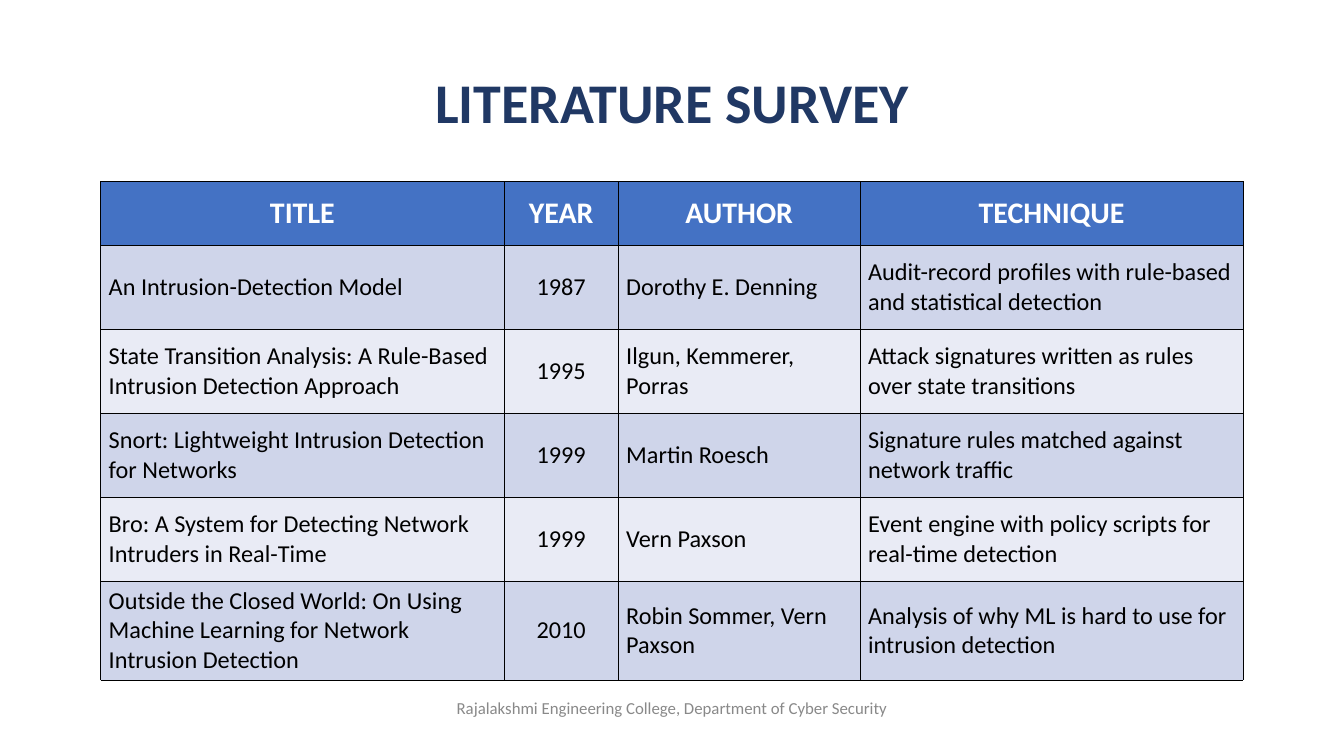
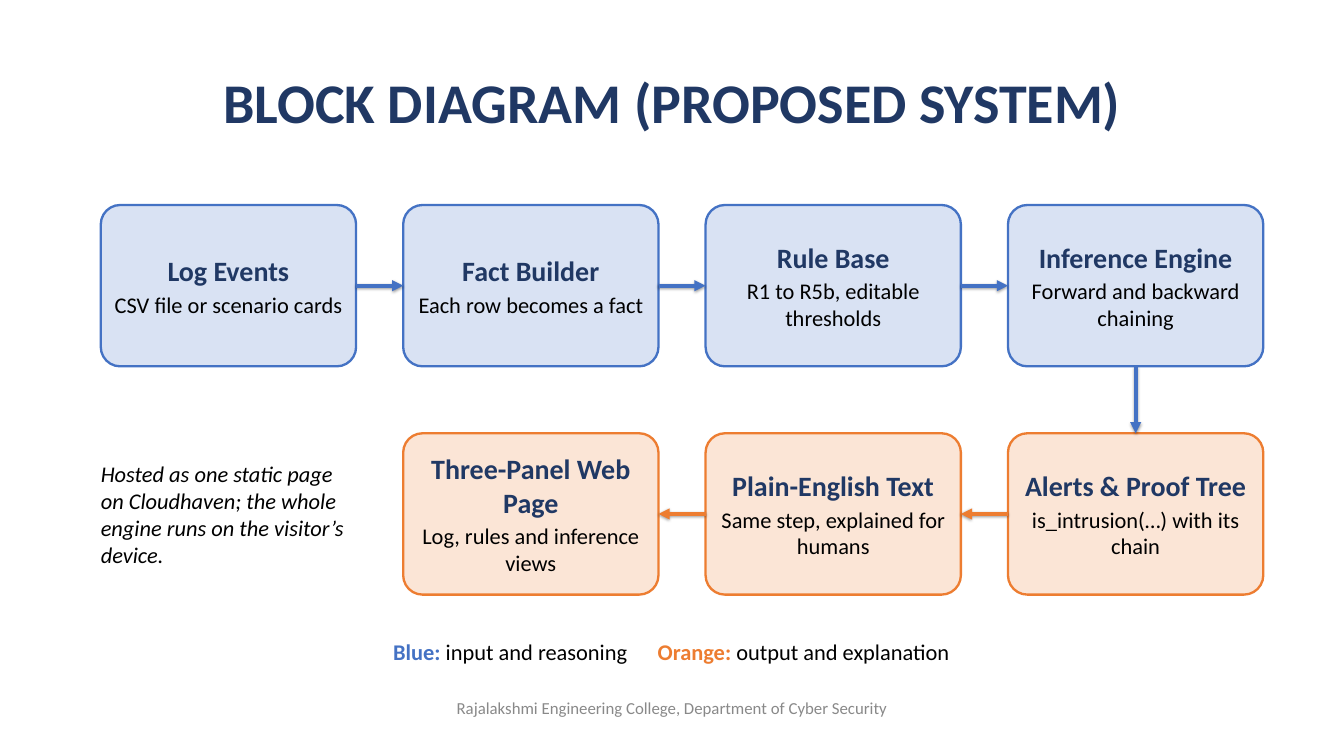
from lxml import etree
from pptx import Presentation
from pptx.dml.color import RGBColor
from pptx.enum import shapes, text
from pptx.oxml import ns
from pptx.util import Cm, Pt

NAVY = RGBColor(0x20, 0x38, 0x64)
BLUE = RGBColor(0x44, 0x72, 0xC4)
PALE_BLUE = RGBColor(0xD9, 0xE2, 0xF3)
ORANGE = RGBColor(0xED, 0x7D, 0x31)
PALE_ORANGE = RGBColor(0xFB, 0xE5, 0xD6)
BAND_DARK = RGBColor(0xCF, 0xD5, 0xEA)
BAND_LIGHT = RGBColor(0xE9, 0xEB, 0xF5)
GREY = RGBColor(0x89, 0x89, 0x89)
BLACK = RGBColor(0, 0, 0)
WHITE = RGBColor(0xFF, 0xFF, 0xFF)
FONT = "Calibri"
LEFT, CENTER = text.PP_ALIGN.LEFT, text.PP_ALIGN.CENTER

TITLE_BOX = (Cm(3.49), Cm(1.4), Cm(43.82), Cm(4.83))
FOOTER_BOX = (Cm(7.62), Cm(26.11), Cm(35.56), Cm(1.27))
TABLE_BOX = (Cm(3.81), Cm(6.86), Cm(43.18), Cm(18.29))
DIAGRAM_BOX = (Cm(3.81), Cm(7.75), Cm(43.94), Cm(14.73))
LEGEND_BOX = (Cm(3.81), Cm(23.88), Cm(43.18), Cm(1.52))

FOOTER = "Rajalakshmi Engineering College, Department of Cyber Security"
COLUMN_WIDTHS = (Cm(15.24), Cm(4.32), Cm(9.14), Cm(14.48))
YEAR_COLUMN = 1
HEADER_HEIGHT = Cm(2.41)
HEADINGS = ("TITLE", "YEAR", "AUTHOR", "TECHNIQUE")
PAPERS = (
    ("An Intrusion-Detection Model", "1987", "Dorothy E. Denning",
     "Audit-record profiles with rule-based and statistical detection"),
    ("State Transition Analysis: A Rule-Based Intrusion Detection Approach", "1995",
     "Ilgun, Kemmerer, Porras", "Attack signatures written as rules over state transitions"),
    ("Snort: Lightweight Intrusion Detection for Networks", "1999", "Martin Roesch",
     "Signature rules matched against network traffic"),
    ("Bro: A System for Detecting Network Intruders in Real-Time", "1999", "Vern Paxson",
     "Event engine with policy scripts for real-time detection"),
    ("Outside the Closed World: On Using Machine Learning for Network Intrusion Detection",
     "2010", "Robin Sommer, Vern Paxson",
     "Analysis of why ML is hard to use for intrusion detection"),
)

STAGE_WIDTH, STAGE_HEIGHT = Cm(9.65), Cm(6.1)
STAGE_COLUMNS = 4
REASONING_STAGES = (
    ("Log Events", "CSV file or scenario cards"),
    ("Fact Builder", "Each row becomes a fact"),
    ("Rule Base", "R1 to R5b, editable thresholds"),
    ("Inference Engine", "Forward and backward chaining"),
)
OUTPUT_STAGES = (
    ("Alerts & Proof Tree", "is_intrusion(…) with its chain"),
    ("Plain-English Text", "Same step, explained for humans"),
    ("Three-Panel Web Page", "Log, rules and inference views"),
)
HOSTING = ("Hosted as one static page on Cloudhaven; the whole engine runs "
           "on the visitor’s device.")
LEGEND = (("Blue:", " input and reasoning", BLUE),
          ("Orange:", " output and explanation", ORANGE))


def style(paragraph, size, color, bold=False, italic=False, align=CENTER):
    """Set the font and alignment of a paragraph."""
    paragraph.alignment = align
    font = paragraph.font
    font.name, font.size, font.bold, font.italic = FONT, Pt(size), bold, italic
    font.color.rgb = color


def frame_text(frame, across=0, down=0):
    """Wrap and centre text vertically, with the given insets."""
    frame.word_wrap = True
    frame.auto_size = text.MSO_AUTO_SIZE.NONE
    frame.vertical_anchor = text.MSO_ANCHOR.MIDDLE
    frame.margin_left = frame.margin_right = across
    frame.margin_top = frame.margin_bottom = down


def add_label(slide, box, wording, size, color, **options):
    """Add a text box holding one paragraph."""
    frame = slide.shapes.add_textbox(*box).text_frame
    frame_text(frame)
    frame.text = wording
    style(frame.paragraphs[0], size, color, **options)


def add_titled_slide(deck, heading):
    """Add a slide with the shared title and footer."""
    slide = deck.slides.add_slide(deck.slide_layouts[5])
    title = slide.shapes.title
    title.left, title.top, title.width, title.height = TITLE_BOX
    frame_text(title.text_frame)
    title.text_frame.text = heading
    style(title.text_frame.paragraphs[0], 60, NAVY, bold=True)
    add_label(slide, FOOTER_BOX, FOOTER, 18, GREY)
    return slide


def add_borders(cell):
    """Draw a thin black line on every side of a cell."""
    properties = cell._tc.get_or_add_tcPr()
    for side in ("a:lnL", "a:lnR", "a:lnT", "a:lnB"):
        line = etree.SubElement(properties, ns.qn(side), w=str(Pt(0.75)))
        fill = etree.SubElement(line, ns.qn("a:solidFill"))
        etree.SubElement(fill, ns.qn("a:srgbClr"), val=str(BLACK))


def fill_cell(cell, wording, color, *font, **options):
    """Write one bordered and filled cell."""
    add_borders(cell)
    cell.fill.solid()
    cell.fill.fore_color.rgb = color
    cell.vertical_anchor = text.MSO_ANCHOR.MIDDLE
    cell.margin_left = cell.margin_right = Cm(0.3)
    cell.margin_top = cell.margin_bottom = Cm(0.18)
    cell.text = wording
    style(cell.text_frame.paragraphs[0], *font, **options)


def add_survey_table(slide, box):
    """Add the table of surveyed papers."""
    table = slide.shapes.add_table(len(PAPERS) + 1, len(HEADINGS), *box).table
    for column, width in zip(table.columns, COLUMN_WIDTHS):
        column.width = width
    for row in table.rows:
        row.height = (box[3] - HEADER_HEIGHT) // len(PAPERS)
    table.rows[0].height = HEADER_HEIGHT
    for c, heading in enumerate(HEADINGS):
        fill_cell(table.cell(0, c), heading, BLUE, 32, WHITE, bold=True)
    for r, paper in enumerate(PAPERS, 1):
        band = BAND_DARK if r % 2 else BAND_LIGHT
        for c, wording in enumerate(paper):
            fill_cell(table.cell(r, c), wording, band, 26, BLACK,
                      align=CENTER if c == YEAR_COLUMN else LEFT)


def add_stage(slide, left, top, name, detail, fill, outline):
    """Add one rounded block with its name and detail."""
    stage = slide.shapes.add_shape(shapes.MSO_SHAPE.ROUNDED_RECTANGLE,
                                   left, top, STAGE_WIDTH, STAGE_HEIGHT)
    stage.adjustments[0] = 0.12
    stage.shadow.inherit = False
    stage.fill.solid()
    stage.fill.fore_color.rgb = fill
    stage.line.color.rgb = outline
    stage.line.width = Pt(2.5)
    frame = stage.text_frame
    frame_text(frame, Cm(0.3), Cm(0.13))
    frame.text = f"{name}\n{detail}"
    name_line, detail_line = frame.paragraphs
    name_line.space_after = Pt(4)
    style(name_line, 30, NAVY, bold=True)
    style(detail_line, 24, BLACK)
    return stage


def add_arrow(slide, source, source_side, target, target_side, color):
    """Join two stages with an arrow."""
    arrow = slide.shapes.add_connector(shapes.MSO_CONNECTOR.STRAIGHT, 0, 0, 0, 0)
    arrow.begin_connect(source, source_side)
    arrow.end_connect(target, target_side)
    arrow.line.color.rgb = color
    arrow.line.width = Pt(4)
    etree.SubElement(arrow.line._get_or_add_ln(), ns.qn("a:tailEnd"), type="triangle")


def add_block_diagram(slide, box):
    """Add both rows of stages, their arrows and the hosting remark."""
    left, top, width, height = box
    pitch = (width - STAGE_WIDTH) // (STAGE_COLUMNS - 1)
    lower = top + height - STAGE_HEIGHT
    reasoning = [add_stage(slide, left + i * pitch, top, *stage, PALE_BLUE, BLUE)
                 for i, stage in enumerate(REASONING_STAGES)]
    output = [add_stage(slide, left + (STAGE_COLUMNS - 1 - i) * pitch, lower,
                        *stage, PALE_ORANGE, ORANGE)
              for i, stage in enumerate(OUTPUT_STAGES)]
    for source, target in zip(reasoning, reasoning[1:]):
        add_arrow(slide, source, 3, target, 1, BLUE)
    add_arrow(slide, reasoning[-1], 2, output[0], 0, BLUE)
    for source, target in zip(output, output[1:]):
        add_arrow(slide, source, 1, target, 3, ORANGE)
    add_label(slide, (left, lower, STAGE_WIDTH, STAGE_HEIGHT), HOSTING, 24, BLACK,
              italic=True, align=LEFT)


def add_legend(slide, box):
    """Add the colour key, its entries parted by a tab stop."""
    frame = slide.shapes.add_textbox(*box).text_frame
    frame_text(frame)
    frame.margin_left = Cm(11.05)
    key = frame.paragraphs[0]
    tabs = etree.SubElement(key._p.get_or_add_pPr(), ns.qn("a:tabLst"))
    etree.SubElement(tabs, ns.qn("a:tab"), pos=str(Cm(10)), algn="l")
    style(key, 24, BLACK, align=LEFT)
    for i, (name, meaning, color) in enumerate(LEGEND):
        name_run = key.add_run()
        name_run.text = "\t" + name if i else name
        name_run.font.bold = True
        name_run.font.color.rgb = color
        key.add_run().text = meaning


def main():
    """Build and save the presentation."""
    deck = Presentation()
    deck.slide_width, deck.slide_height = Cm(50.8), Cm(28.58)
    add_survey_table(add_titled_slide(deck, "LITERATURE SURVEY"), TABLE_BOX)
    diagram = add_titled_slide(deck, "BLOCK DIAGRAM (PROPOSED SYSTEM)")
    add_block_diagram(diagram, DIAGRAM_BOX)
    add_legend(diagram, LEGEND_BOX)
    deck.save("out.pptx")


if __name__ == "__main__":
    main()
